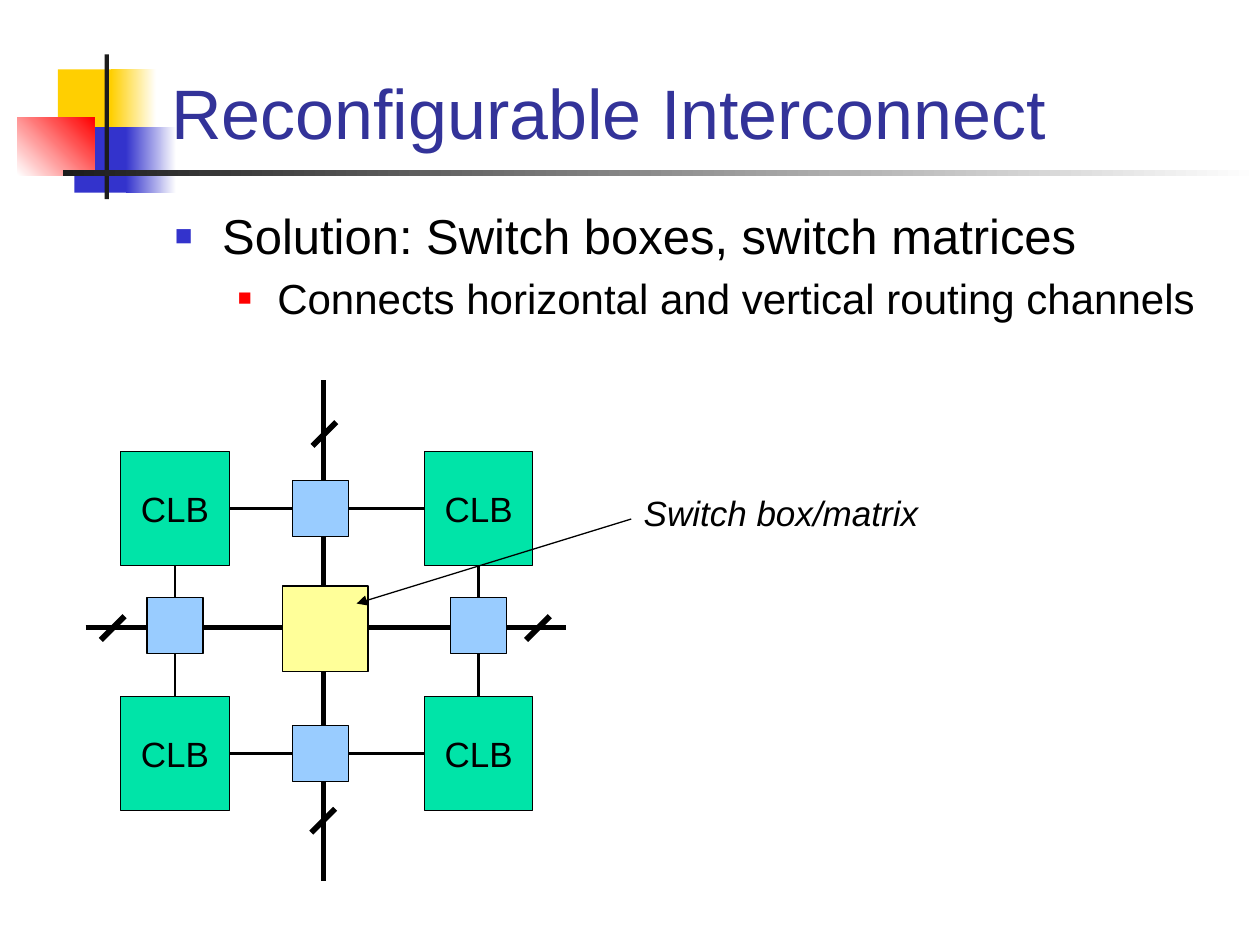
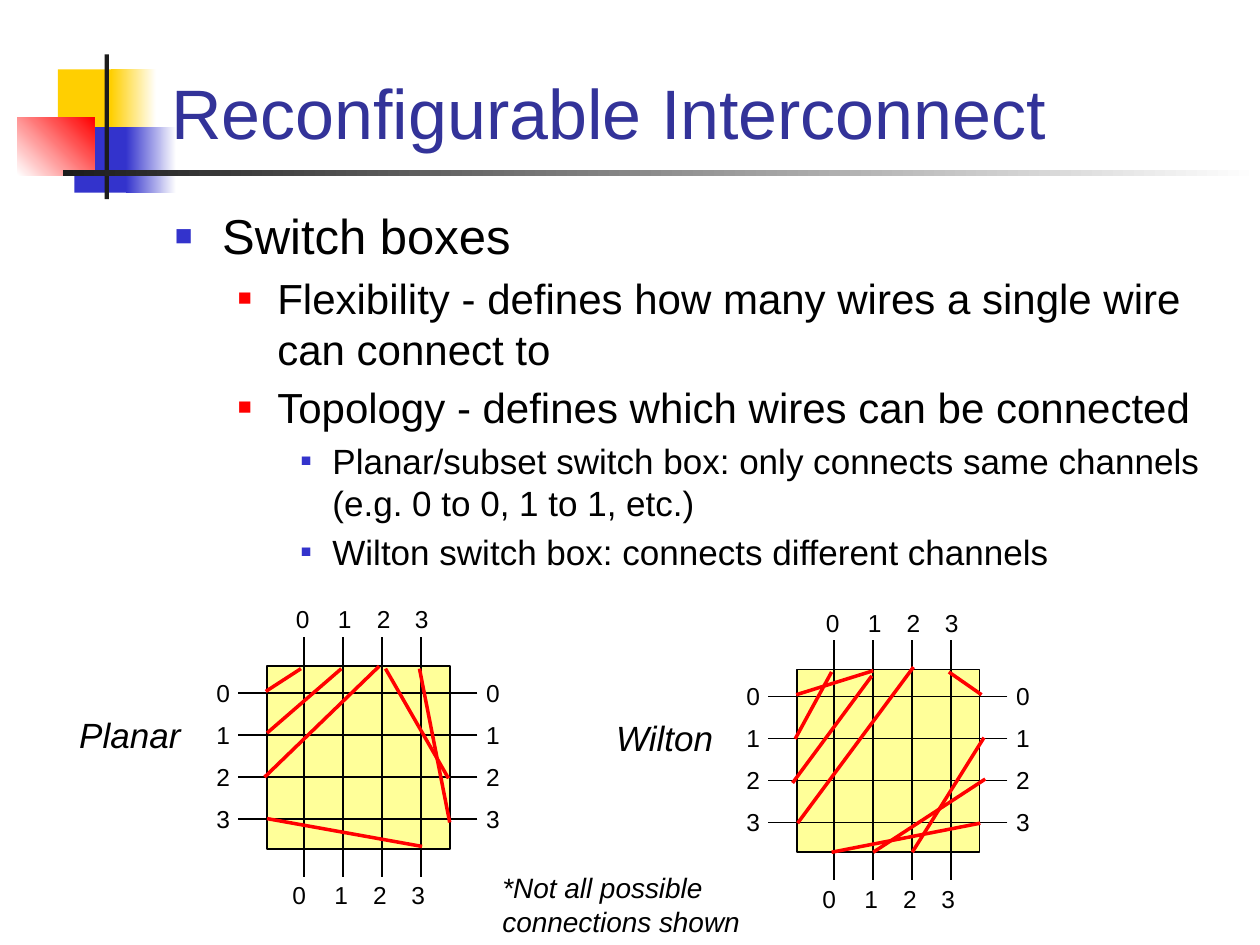
from lxml.etree import SubElement
from pptx import Presentation
from pptx.dml.color import RGBColor
from pptx.enum.shapes import MSO_CONNECTOR, MSO_SHAPE
from pptx.enum.text import MSO_ANCHOR, PP_ALIGN
from pptx.oxml.ns import qn
from pptx.util import Pt

FONT = "Arial"
BLACK, WHITE, CHARCOAL = "000000", "FFFFFF", "1C1C1C"
GOLD, BLUE, RED, NAVY = "FFCF01", "3333CC", "FF0000", "333399"
GREEN, PALE_YELLOW, PALE_BLUE = "00E4A8", "FFFF99", "99CCFF"
TOP, LEFT, BOTTOM, RIGHT = range(4)

# Outline levels: size, left margin, hanging indent, bullet colour, bullet %
LEVELS = [
    (28, 27, 27, BLUE, 60),
    (24, 58.5, 22.5, RED, 55),
    (20, 90, 18, BLUE, 50),
]


def rgb(value):
    return RGBColor.from_string(value)


class Deck:
    """Holds the presentation style and the slide being built."""

    def __init__(self):
        self.prs = Presentation()
        self.prs.slide_width, self.prs.slide_height = Pt(720), Pt(540)
        self.slide = None

    def new_slide(self, title, outline):
        self.slide = self.prs.slides.add_slide(self.prs.slide_layouts[6])
        self.ornament()
        self.text(title, 90.7, 1.4, 613.4, 90, 40, color=NAVY,
                  anchor=MSO_ANCHOR.BOTTOM)
        self.outline(outline)

    def ornament(self):
        self.rect(33.1, 39.6, 34.6, 37.4, GOLD)
        self.rect(63.4, 39.6, 25.9, 37.4, (GOLD, WHITE, 0))
        self.rect(42.5, 72.7, 33.1, 37.4, BLUE)
        self.rect(72, 72.7, 28.8, 37.4, (BLUE, WHITE, 0))
        self.rect(10, 67, 44, 33.1, (WHITE, RED, 45))
        self.rect(59.8, 31, 2.4, 82.8, CHARCOAL)
        self.rect(36, 97.2, 684, 3.6, (CHARCOAL, WHITE, 0))

    def rect(self, x, y, w, h, fill, line=None):
        """Fill is one colour, or (start, end, angle) for a gradient."""
        box = self.slide.shapes.add_shape(
            MSO_SHAPE.RECTANGLE, Pt(x), Pt(y), Pt(w), Pt(h))
        box.shadow.inherit = False
        if isinstance(fill, tuple):
            box.fill.gradient()
            box.fill.gradient_angle = fill[2]
            for stop, color in zip(box.fill.gradient_stops, fill):
                stop.color.rgb = rgb(color)
        else:
            box.fill.solid()
            box.fill.fore_color.rgb = rgb(fill)
        if line:
            box.line.color.rgb = rgb(BLACK)
            box.line.width = Pt(line)
        else:
            box.line.fill.background()
        return box

    def square(self, center, side, fill):
        x, y = center
        return self.rect(x - side / 2, y - side / 2, side, side, fill, 0.75)

    def block(self, center, label):
        x, y = center
        box = self.rect(x - 31, y - 32.5, 62, 65, GREEN, 0.75)
        frame = box.text_frame
        frame.word_wrap = False
        frame.vertical_anchor = MSO_ANCHOR.MIDDLE
        frame.paragraphs[0].alignment = PP_ALIGN.CENTER
        self.run(frame.paragraphs[0], label, 20)
        return box

    def run(self, paragraph, words, size, color=BLACK, italic=False):
        run = paragraph.add_run()
        run.text = words
        run.font.name, run.font.size = FONT, Pt(size)
        run.font.italic = italic
        run.font.color.rgb = rgb(color)

    def frame(self, x, y, w, h):
        box = self.slide.shapes.add_textbox(Pt(x), Pt(y), Pt(w), Pt(h))
        box.text_frame.word_wrap = True
        return box.text_frame

    def text(self, words, x, y, w, h, size, color=BLACK, italic=False,
             anchor=MSO_ANCHOR.TOP):
        frame = self.frame(x, y, w, h)
        frame.vertical_anchor = anchor
        self.run(frame.paragraphs[0], words, size, color, italic)

    def outline(self, items):
        frame = self.frame(92.9, 113.8, 612, 368.6)
        for i, (level, words) in enumerate(items):
            size, margin, hang, color, percent = LEVELS[level]
            paragraph = frame.add_paragraph() if i else frame.paragraphs[0]
            paragraph.level = level
            if i:
                paragraph.space_before = Pt(size * 0.2)
            props = paragraph._p.get_or_add_pPr()
            props.set("marL", str(Pt(margin)))
            props.set("indent", str(-Pt(hang)))
            bullet_color = SubElement(props, qn("a:buClr"))
            SubElement(bullet_color, qn("a:srgbClr"), val=color)
            SubElement(props, qn("a:buSzPct"), val=str(percent * 1000))
            SubElement(props, qn("a:buFont"), typeface=FONT)
            SubElement(props, qn("a:buChar"), char="■")
            self.run(paragraph, words, size)

    def line(self, start, end, width, color=BLACK, arrow=False):
        wire = self.slide.shapes.add_connector(
            MSO_CONNECTOR.STRAIGHT, *map(Pt, (*start, *end)))
        wire.line.color.rgb = rgb(color)
        wire.line.width = Pt(width)
        props = wire._element.spPr
        if arrow:
            SubElement(props.find(qn("a:ln")), qn("a:tailEnd"), type="triangle")
        SubElement(props, qn("a:effectLst"))
        return wire

    def join(self, first, first_side, second, second_side):
        wire = self.line((0, 0), (0, 0), 1.5)
        wire.begin_connect(first, first_side)
        wire.end_connect(second, second_side)

    def switch_box(self, x, y, wires):
        """Square with four channels each way; wires are relative to it."""
        side, stub = 104.4, 16.6
        self.rect(x, y, side, side, PALE_YELLOW, 1)
        for i in range(4):
            column, row = x + 21.1 + 22.25 * i, y + 15.4 + 24 * i
            self.line((column, y - stub), (column, y + side + stub - 0.8), 1)
            self.line((x + side + stub - 0.8, row), (x - stub, row), 1)
        for i, shift in enumerate((9.4, 33.4, 55.6, 77.4)):
            row = y + 3.2 + 24 * i
            for left, top in ((x + shift, y - 38.9), (x + shift - 2, y + 118.8),
                              (x + 118.1, row), (x - 36, row)):
                self.text(str(i), left, top, 27.4, 24, 14)
        for x1, y1, x2, y2 in wires:
            self.line((x + x1, y + y1), (x + x2, y + y2), 2, RED)


def routing_slide(deck):
    deck.new_slide("Reconfigurable Interconnect", [
        (0, "Solution: Switch boxes, switch matrices"),
        (1, "Connects horizontal and vertical routing channels"),
    ])
    left, middle, right = 100, 183, 273.5
    upper, center, lower = 290.5, 357.5, 430.5

    # Logic blocks
    blocks = {(x, y): deck.block((x, y), "CLB")
              for y in (upper, lower) for x in (left, right)}

    # Routing channels, switch matrix and connection boxes
    deck.line((49, 358.6), (323.3, 358.6), 3)
    deck.line((185, 217.4), (185, 503.3), 3)
    deck.square((185.8, 359.3), 49, PALE_YELLOW)
    above, below, west, east = (
        deck.square(spot, 32, PALE_BLUE)
        for spot in ((middle, upper), (middle, lower),
                     (left, center), (right, center)))

    # Bus-width ticks
    for x, y in ((185.4, 248), (184.7, 469), (307.4, 358.9), (64.4, 358.9)):
        deck.line((x + 6.8, y - 6.8), (x - 6.8, y + 6.8), 3.25)

    # Callout
    deck.text("Switch box/matrix", 360.7, 277.2, 176.4, 31, 20, italic=True)
    deck.line((360.7, 296.6), (203.8, 344.9), 0.75, arrow=True)

    # Links between blocks and connection boxes
    for x, box in ((left, west), (right, east)):
        deck.join(blocks[x, upper], BOTTOM, box, TOP)
        deck.join(box, BOTTOM, blocks[x, lower], TOP)
    for y, box in ((upper, above), (lower, below)):
        deck.join(blocks[left, y], RIGHT, box, LEFT)
        deck.join(box, RIGHT, blocks[right, y], LEFT)


def topology_slide(deck):
    deck.new_slide("Reconfigurable Interconnect", [
        (0, "Switch boxes"),
        (1, "Flexibility - defines how many wires a single wire can connect to"),
        (1, "Topology - defines which wires can be connected"),
        (2, "Planar/subset switch box: only connects same channels "
            "(e.g. 0 to 0, 1 to 1, etc.)"),
        (2, "Wilton switch box: connects different channels"),
    ])
    planar_wires = [
        (-0.7, 14.4, 19.4, 1.4), (0, 38.2, 42.5, 1.4),
        (103.7, 64.1, 67.7, 1.4), (87.1, 1.4, 104.4, 89.3),
        (-1.4, 63.4, 64.1, 0), (0, 87.1, 88.6, 103),
    ]
    wilton_wires = [
        (-1, 39.6, 19.8, 1.4), (0.4, 87.8, 66.6, -1.4),
        (-2.5, 64.8, 42.8, 3.6), (-0.4, 14.4, 43.6, 0.7),
        (86.8, 1.4, 105.5, 14.4), (65.9, 104.4, 106.9, 38.9),
        (43.6, 104.4, 107.6, 62.6), (19.8, 104.4, 104.8, 87.8),
    ]
    deck.switch_box(152.6, 380.7, planar_wires)
    deck.switch_box(455.4, 382.6, wilton_wires)

    # Captions
    deck.text("Planar", 38.2, 404, 75, 31, 20, italic=True)
    deck.text("Wilton", 345, 406, 75, 31, 20, italic=True)
    deck.text("*Not all possible connections shown", 280, 494, 199.4, 46, 16,
              italic=True)


def main():
    deck = Deck()
    routing_slide(deck)
    topology_slide(deck)
    deck.prs.save("out.pptx")


if __name__ == "__main__":
    main()
